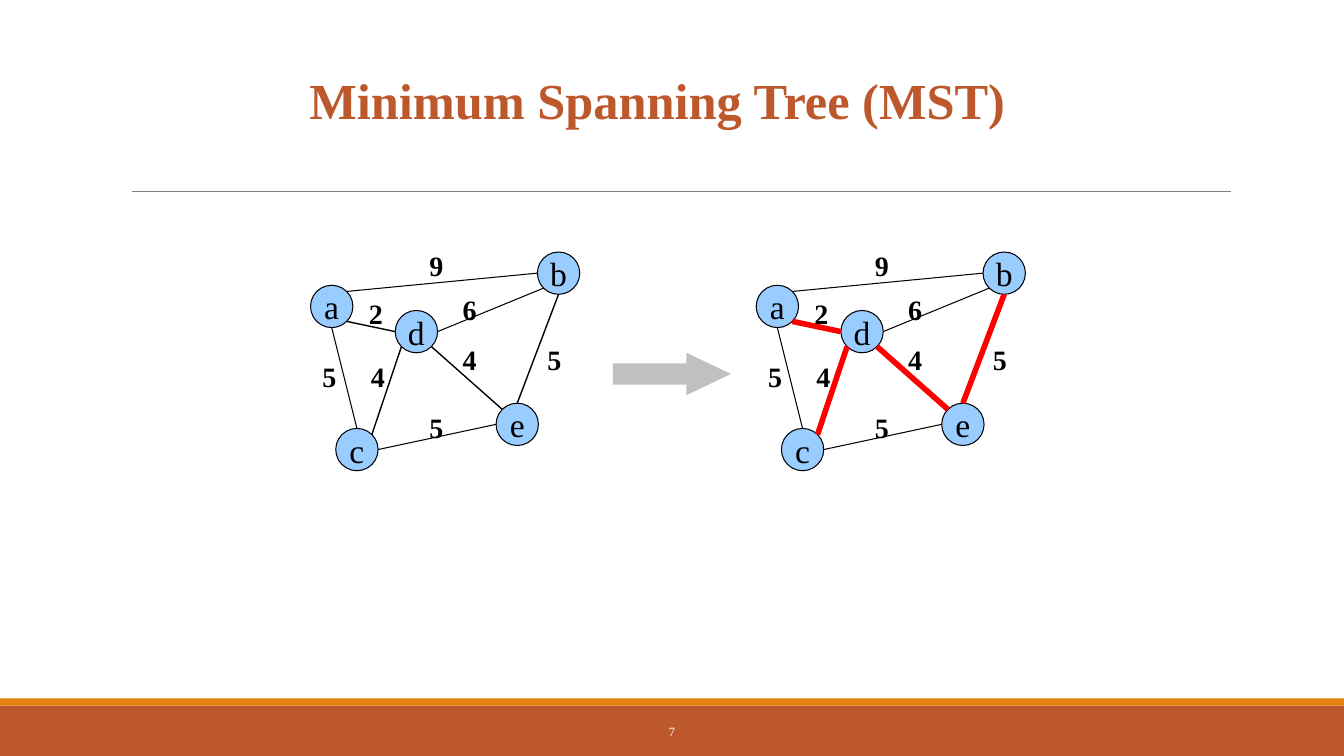
from math import cos, radians, sin

from lxml.etree import SubElement
from pptx import Presentation
from pptx.dml.color import RGBColor
from pptx.enum.shapes import MSO_CONNECTOR as Connector, MSO_SHAPE as Shape
from pptx.enum.text import MSO_ANCHOR as Anchor, PP_ALIGN as Align
from pptx.oxml.ns import qn
from pptx.util import Inches, Pt

RUST = RGBColor(0xBD, 0x58, 0x2C)
ORANGE = RGBColor(0xE4, 0x83, 0x12)
GRAY = RGBColor(0x80, 0x80, 0x80)
SILVER = RGBColor(0xC0, 0xC0, 0xC0)
SKY = RGBColor(0x99, 0xCC, 0xFF)
RED = RGBColor(0xFF, 0x00, 0x00)
BLACK = RGBColor(0x00, 0x00, 0x00)
WHITE = RGBColor(0xFF, 0xFF, 0xFF)

NODE_SIZE = 0.42
GRAPH_LEFTS = (3.08, 7.5)
GRAPH_TOP = 2.5

# Node positions are measured from the graph's top left corner
NODES = {"a": (0, 0.33), "c": (0.25, 1.75), "e": (1.84, 1.5),
         "d": (0.84, 0.58), "b": (2.25, 0)}

# Clockwise angle of each point on a node's rim
RIM = {"E": 0, "SE": 45, "S": 90, "SW": 135,
       "W": 180, "NW": 225, "N": 270, "NE": 315}

# From node and rim point, to node and rim point, in tree, weight, weight position
EDGES = [
    ("a", "NE", "b", "W", False, "9", (1.08, -0.08)),
    ("d", "E", "b", "SW", False, "6", (1.41, 0.35)),
    ("a", "S", "c", "N", False, "5", (0.02, 1.02)),
    ("a", "SE", "d", "W", True, "2", (0.48, 0.39)),
    ("c", "NE", "d", "SW", True, "4", (0.5, 1.02)),
    ("d", "SE", "e", "NW", True, "4", (1.41, 0.85)),
    ("b", "S", "e", "N", True, "5", (2.25, 0.85)),
    ("e", "W", "c", "E", False, "5", (1.08, 1.52)),
]


class SlideBuilder:
    font = "Times New Roman"

    def __init__(self, page):
        self.page = page

    def label(self, shape, text, size, color, bold=False, align=Align.CENTER,
              anchor=Anchor.MIDDLE, wrap=True):
        frame = shape.text_frame
        frame.text = text
        frame.word_wrap = wrap
        frame.vertical_anchor = anchor
        paragraph = frame.paragraphs[0]
        paragraph.alignment = align
        font = paragraph.runs[0].font
        font.name, font.size, font.bold = self.font, Pt(size), bold
        font.color.rgb = color

    def text(self, place, text, size, color, parent=None, **style):
        box = (parent or self.page).shapes.add_textbox(*map(Inches, place))
        self.label(box, text, size, color, **style)

    def shape(self, kind, place, fill, outline=None, parent=None):
        shape = (parent or self.page).shapes.add_shape(kind, *map(Inches, place))
        shape.shadow.inherit = False
        shape.fill.solid()
        shape.fill.fore_color.rgb = fill
        if outline is None:
            shape.line.fill.background()
        else:
            shape.line.color.rgb = outline
            shape.line.width = Pt(0.75)
        return shape

    def line(self, start, end, color, width, parent=None):
        line = (parent or self.page).shapes.add_connector(
            Connector.STRAIGHT, *map(Inches, (*start, *end)))
        line.line.color.rgb = color
        line.line.width = Pt(width)
        SubElement(line._element.spPr, qn("a:effectLst"))

    def graph(self, left, top, show_tree):
        group = self.page.shapes.add_group_shape()
        radius = NODE_SIZE / 2

        def rim_point(name, side):
            x, y = NODES[name]
            angle = radians(RIM[side])
            return (left + x + radius + radius * cos(angle),
                    top + y + radius + radius * sin(angle))

        for name, (x, y) in NODES.items():
            node = self.shape(Shape.OVAL, (left + x, top + y, NODE_SIZE, NODE_SIZE),
                              SKY, BLACK, group)
            self.label(node, name, 24, BLACK, wrap=False)

        for first, first_side, second, second_side, in_tree, *_ in EDGES:
            color, width = BLACK, 1 if in_tree else 0.75
            if in_tree and show_tree:
                color, width = RED, 4
            self.line(rim_point(first, first_side), rim_point(second, second_side),
                      color, width, group)

        for *_, weight, (x, y) in EDGES:
            self.text((left + x, top + y, 0.34, 0.44), weight, 20, BLACK, group,
                      bold=True, align=Align.LEFT, anchor=Anchor.TOP, wrap=False)


def main():
    deck = Presentation()
    deck.slide_width, deck.slide_height = Inches(13.33), Inches(7.5)
    builder = SlideBuilder(deck.slides.add_slide(deck.slide_layouts[6]))

    # Footer bands and title rule
    builder.shape(Shape.RECTANGLE, (0, 7, 13.33, 0.5), RUST)
    builder.shape(Shape.RECTANGLE, (0, 6.93, 13.33, 0.07), ORANGE)
    builder.line((1.31, 1.9), (12.21, 1.9), GRAY, 0.5)

    # The weighted graph, then the same graph with its tree marked
    for left, show_tree in zip(GRAPH_LEFTS, (False, True)):
        builder.graph(left, GRAPH_TOP, show_tree)

    # Arrow between the graphs
    arrow = builder.shape(Shape.RIGHT_ARROW, (6.08, 3.5, 1.17, 0.42), SILVER)
    arrow.adjustments[1] = 1.05

    # Title and page number
    builder.text((2.02, 0.36, 9, 1.25), "Minimum Spanning Tree (MST)", 36, RUST, bold=True)
    builder.text((4.03, 7.06, 5.27, 0.4), "7", 9, WHITE)

    deck.save("out.pptx")


if __name__ == "__main__":
    main()
